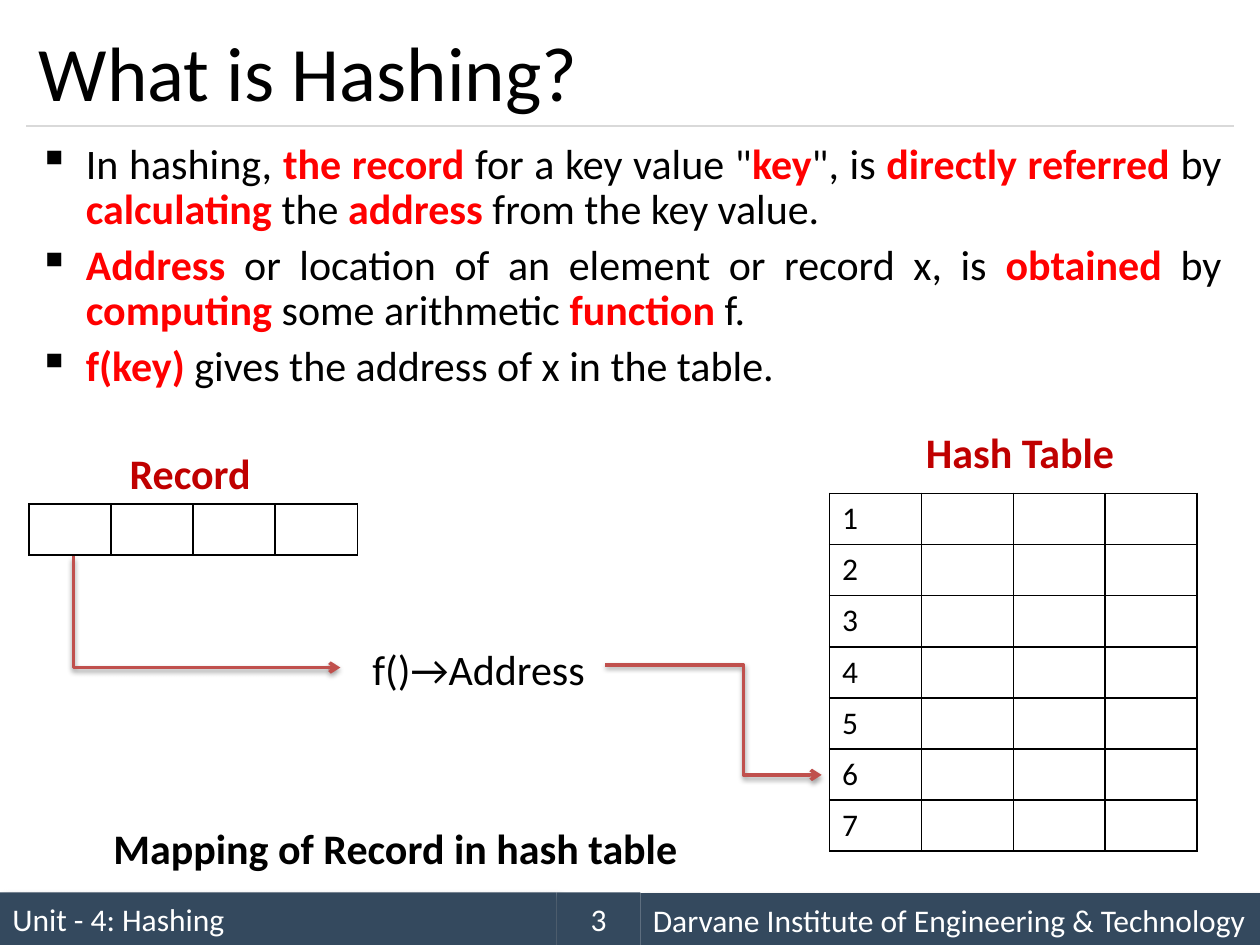
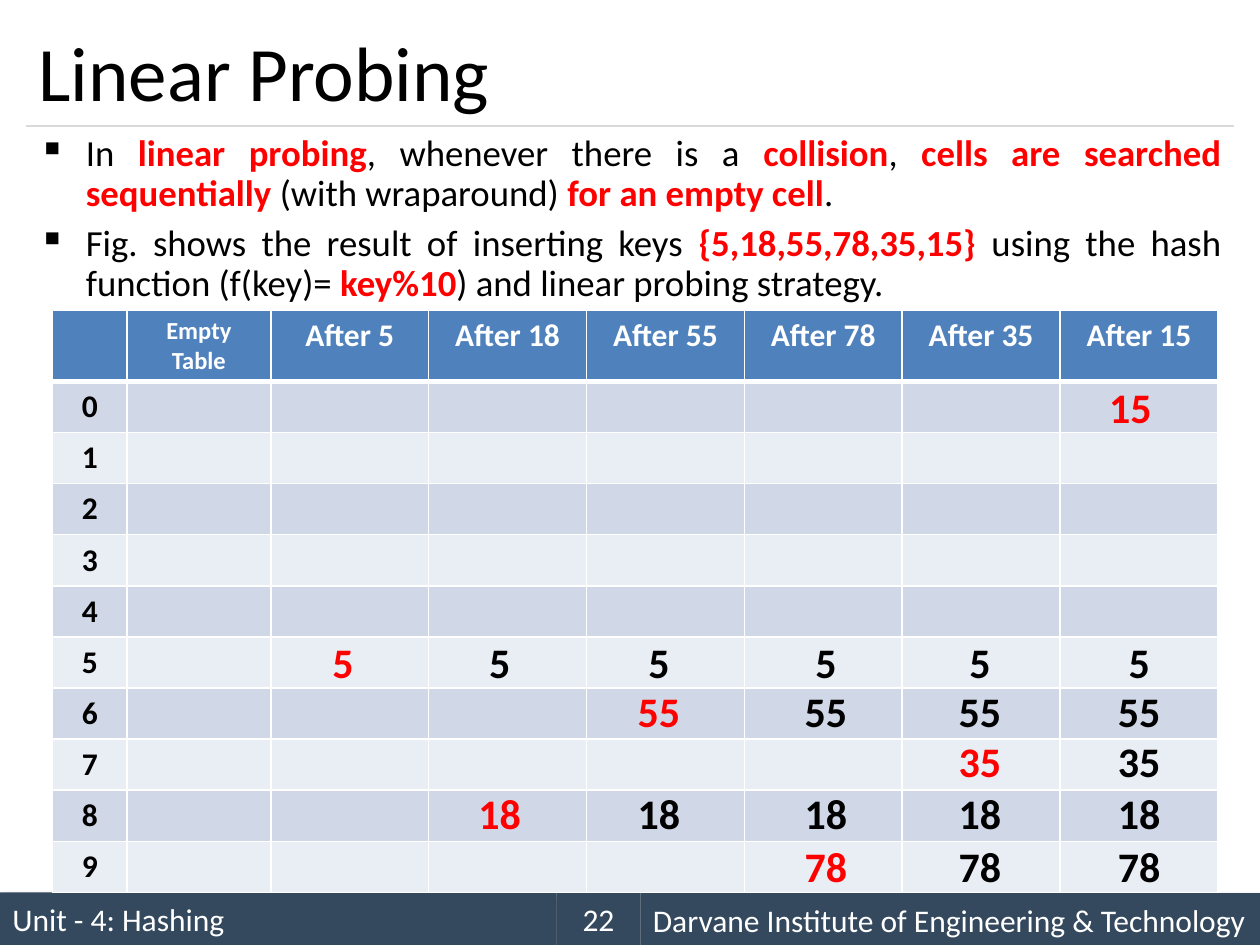
from dataclasses import dataclass
from typing import Any

import pptx
import pptx.chart.data
import pptx.dml.color
import pptx.enum.shapes
import pptx.enum.text
import pptx.oxml
import pptx.oxml.ns
import pptx.util
from lxml import etree

Pt = pptx.util.Pt
qn = pptx.oxml.ns.qn
ALIGN = pptx.enum.text.PP_ALIGN
ANCHOR = pptx.enum.text.MSO_ANCHOR

FONT = "Calibri"
COLOURS = {
    "text": "000000",
    "paper": "FFFFFF",
    "band": "34495E",
    "rule": "D9D9D9",
    "key": "FF0000",
    "caption": "C00000",
    "arrow": "C0504D",
    "header": "4F81BD",
    "odd": "D0D8E8",
    "even": "E9EDF4",
}
BULLET = {"alignment": ALIGN.JUSTIFY, "line_spacing": 0.9, "space_before": Pt(6)}
CENTRED = {"alignment": ALIGN.CENTER}
SPACED = {"alignment": ALIGN.CENTER, "line_spacing": 1.15, "space_after": Pt(10)}


@dataclass
class Area:
    left: float
    top: float
    width: float
    height: float

    def lengths(self) -> tuple:
        return Pt(self.left), Pt(self.top), Pt(self.width), Pt(self.height)


@dataclass
class Label:
    text: str
    area: Area
    size: float = 24
    colour: str = "text"
    bold: bool = False
    layout: dict | None = None


@dataclass
class Shadow:
    alpha: int
    blur: float
    distance: float
    angle: int


@dataclass
class Band:
    text: str
    area: Area
    layout: dict
    shadow: Shadow | None = None


BAND_SHADOW = Shadow(40, 4, 3, 45)
ARROW_SHADOW = Shadow(38, 3.1, 1.6, 90)

RECORD_LABELS = [
    Label("Hash Table", Area(522, 240, 123, 36), colour="caption", bold=True),
    Label("Record", Area(67, 252, 84, 36), colour="caption", bold=True),
    Label("f()→Address", Area(204, 360, 139, 39), layout=SPACED),
    Label("Mapping of Record in hash table", Area(56, 462, 340, 39), bold=True, layout=SPACED),
]
ARROWS = [
    [(42, 318), (42, 381.5), (194.5, 381.5)],
    [(346, 380), (424.8, 380), (424.8, 442.8), (469.5, 442.8)],
]

KEYS = [5, 18, 55, 78, 35, 15]
SLOT_COUNT = 10
STEP_CENTRES = [196, 285.5, 376.5, 472, 560, 651]
SLOT_TOPS = {0: 214.6, 5: 360, 6: 388, 7: 417, 8: 446.6, 9: 477}
WRAPPED_SHIFT = -5


def rgb(name: str) -> pptx.dml.color.RGBColor:
    return pptx.dml.color.RGBColor.from_string(COLOURS[name])


def apply(target: Any, values: dict) -> None:
    for name, value in values.items():
        setattr(target, name, value)


def add_span(para: Any, text: str, size: float, colour: str, bold: bool = False) -> None:
    span = para.add_run()
    span.text = text
    apply(span.font, {"name": FONT, "size": Pt(size), "bold": bold})
    span.font.color.rgb = rgb(colour)


def add_shadow(shape: Any, shadow: Shadow) -> None:
    effects = shape.element.spPr.find(qn("a:effectLst"))
    outer = etree.SubElement(
        effects, qn("a:outerShdw"),
        blurRad=str(Pt(shadow.blur)), dist=str(Pt(shadow.distance)),
        dir=str(shadow.angle * 60000), rotWithShape="0",
    )
    tint = etree.SubElement(outer, qn("a:srgbClr"), val=COLOURS["text"])
    etree.SubElement(tint, qn("a:alpha"), val=str(shadow.alpha * 1000))


def add_label(page: Any, label: Label, anchor: Any = ANCHOR.TOP, wrap: bool = False) -> None:
    frame = page.shapes.add_textbox(*label.area.lengths()).text_frame
    apply(frame, {"word_wrap": wrap, "vertical_anchor": anchor})
    para = frame.paragraphs[0]
    apply(para, label.layout or {})
    add_span(para, label.text, label.size, label.colour, label.bold)


def add_band(page: Any, band: Band) -> None:
    shape = page.shapes.add_shape(pptx.enum.shapes.MSO_SHAPE.RECTANGLE, *band.area.lengths())
    shape.shadow.inherit = False
    shape.fill.solid()
    shape.fill.fore_color.rgb = rgb("band")
    shape.line.fill.background()
    if band.shadow:
        add_shadow(shape, band.shadow)
    shape.text_frame.vertical_anchor = ANCHOR.MIDDLE
    para = shape.text_frame.paragraphs[0]
    apply(para, band.layout)
    add_span(para, band.text, 18, "paper")


def add_rule(page: Any) -> None:
    rule = page.shapes.add_connector(
        pptx.enum.shapes.MSO_CONNECTOR.STRAIGHT, Pt(15), Pt(72), Pt(705), Pt(72))
    rule.line.color.rgb = rgb("rule")
    rule.line.width = Pt(0.75)
    etree.SubElement(rule.element.spPr, qn("a:effectLst"))


def add_page(deck: Any, title: str, number: int) -> Any:
    page = deck.slides.add_slide(deck.slide_layouts[6])
    left = {"alignment": ALIGN.LEFT}
    add_band(page, Band("Unit - 4: Hashing", Area(0, 510, 318, 30), left, BAND_SHADOW))
    add_rule(page)
    add_band(page, Band("Darvane Institute of Engineering & Technology",
                        Area(366, 510.4, 354, 30), left, BAND_SHADOW))
    add_band(page, Band(str(number), Area(318, 510, 48, 30), CENTRED))
    add_label(page, Label(title, Area(15, 9, 690, 63), size=44), ANCHOR.MIDDLE, True)
    return page


def add_bullets(page: Any, area: Area, size: float, lines: list[str]) -> None:
    frame = page.shapes.add_textbox(*area.lengths()).text_frame
    frame.word_wrap = True
    for index, line in enumerate(lines):
        para = frame.add_paragraph() if index else frame.paragraphs[0]
        apply(para, BULLET)
        properties = para._p.get_or_add_pPr()
        properties.set("marL", str(Pt(27)))
        properties.set("indent", str(-Pt(27)))
        tint = etree.SubElement(properties, qn("a:buClr"))
        etree.SubElement(tint, qn("a:srgbClr"), val=COLOURS["text"])
        etree.SubElement(properties, qn("a:buChar"), char="▪")
        for part, text in enumerate(line.split("*")):
            marked = part % 2 == 1
            if text:
                add_span(para, text, size, "key" if marked else "text", marked)


def add_arrow(page: Any, points: list[tuple[float, float]]) -> None:
    corners = [(Pt(x), Pt(y)) for x, y in points]
    builder = page.shapes.build_freeform(*corners[0], scale=1.0)
    builder.add_line_segments(corners[1:], close=False)
    arrow = builder.convert_to_shape()
    arrow.shadow.inherit = False
    arrow.fill.background()
    arrow.line.color.rgb = rgb("arrow")
    arrow.line.width = Pt(2)
    etree.SubElement(arrow.element.spPr.find(qn("a:ln")), qn("a:tailEnd"), type="arrow")
    add_shadow(arrow, ARROW_SHADOW)


def set_borders(cell: Any, colour: str, bottom: float = 1, top: float = 1) -> None:
    properties = cell._tc.get_or_add_tcPr()
    widths = {"lnL": 1, "lnR": 1, "lnT": top, "lnB": bottom}
    for index, (side, width) in enumerate(widths.items()):
        border = etree.Element(qn(f"a:{side}"), w=str(Pt(width)))
        fill = etree.SubElement(border, qn("a:solidFill"))
        etree.SubElement(fill, qn("a:srgbClr"), val=COLOURS[colour])
        properties.insert(index, border)


def add_grid(page: Any, left: float, top: float, widths: list[float], heights: list[float]) -> Any:
    area = Area(left, top, sum(widths), sum(heights))
    table = page.shapes.add_table(len(heights), len(widths), *area.lengths()).table
    apply(table, {"first_row": False, "horz_banding": False})
    for column, width in zip(table.columns, widths):
        column.width = Pt(width)
    for row, height in zip(table.rows, heights):
        row.height = Pt(height)
    for cell in table.iter_cells():
        cell.fill.background()
    return table


def fill_cell(cell: Any, text: str, size: float, colour: str, bold: bool, layout: dict) -> None:
    for index, line in enumerate(text.split("\n")):
        para = cell.text_frame.add_paragraph() if index else cell.text_frame.paragraphs[0]
        apply(para, layout)
        add_span(para, line, size, colour, bold)


def add_probe_table(page: Any) -> None:
    table = add_grid(page, 30, 177.1, [42.6, 82.2] + [90.2] * len(KEYS),
                     [40.6] + [29.2] * SLOT_COUNT)
    titles = ["", "Empty\nTable"] + [f"After {key}" for key in KEYS]
    for index, row in enumerate(table.rows):
        fill = "header" if index == 0 else "odd" if index % 2 else "even"
        for cell in row.cells:
            cell.fill.solid()
            cell.fill.fore_color.rgb = rgb(fill)
            set_borders(cell, "paper", bottom=1 if index else 3, top=3 if index == 1 else 1)
    for column, title in enumerate(titles):
        if title:
            size = 14 if "\n" in title else 18
            fill_cell(table.cell(0, column), title, size, "paper", True, CENTRED)
    for slot in range(SLOT_COUNT):
        fill_cell(table.cell(slot + 1, 0), str(slot), 18, "text", True, CENTRED)


def add_probe_steps(page: Any) -> None:
    slots: dict[int, int] = {}
    for key, centre in zip(KEYS, STEP_CENTRES):
        slot = key % SLOT_COUNT
        while slot in slots:
            slot = (slot + 1) % SLOT_COUNT
        slots[slot] = key
        for place, value in slots.items():
            width = 27 if value < 10 else 39
            shift = WRAPPED_SHIFT if place == 0 else 0
            area = Area(centre - width / 2 + shift, SLOT_TOPS[place], width, 36)
            colour = "key" if value == key else "text"
            add_label(page, Label(str(value), area, colour=colour, bold=True, layout=CENTRED))


def build_hashing(deck: Any) -> None:
    page = add_page(deck, "What is Hashing?", 3)
    add_bullets(page, Area(15, 78, 690, 162), 24, [
        'In hashing, *the record *for a key value "*key*", is *directly referred *by '
        "*calculating *the *address *from the key value. ",
        "*Address *or location of an element or record x, is *obtained *by "
        "*computing *some arithmetic *function *f. ",
        "*f(key)* gives the address of x in the table.",
    ])
    hash_table = add_grid(page, 474, 282, [52.5] * 4, [29.2] * 7)
    record = add_grid(page, 16.6, 288, [46.9] * 4, [29.2])
    for table in (hash_table, record):
        for cell in table.iter_cells():
            set_borders(cell, "text")
    for index in range(7):
        fill_cell(hash_table.cell(index, 0), str(index + 1), 18, "text", False, {})
    for label in RECORD_LABELS:
        add_label(page, label)
    for points in ARROWS:
        add_arrow(page, points)


def build_probing(deck: Any) -> None:
    page = add_page(deck, "Linear Probing", 22)
    add_bullets(page, Area(15, 73.5, 690, 96), 21, [
        "In *linear probing*, whenever there is a *collision*, *cells are searched sequentially *"
        "(with wraparound) *for an empty cell*. ",
        "Fig. shows the result of inserting keys *{5,18,55,78,35,15} *using the hash function "
        "(f(key)= *key%10*) and linear probing strategy.",
    ])
    add_probe_table(page)
    add_probe_steps(page)


def main() -> None:
    deck = pptx.Presentation()
    apply(deck, {"slide_width": Pt(720), "slide_height": Pt(540)})
    build_hashing(deck)
    build_probing(deck)
    deck.save("out.pptx")


if __name__ == "__main__":
    main()
